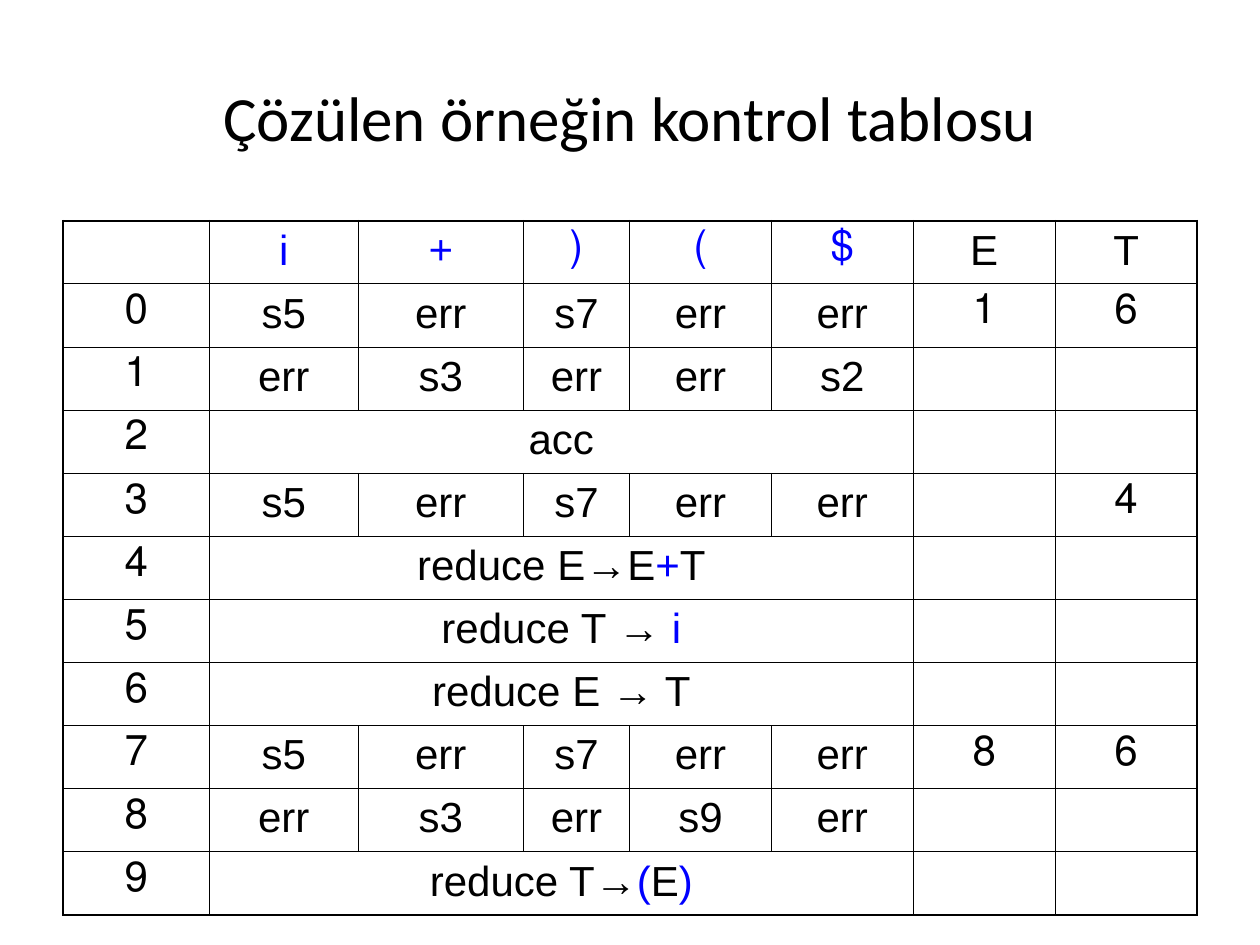
"""Builds a slide with the control table of a solved LR parsing example."""
from itertools import groupby

from lxml.etree import SubElement
from pptx import Presentation
from pptx.dml.color import RGBColor
from pptx.enum.text import MSO_ANCHOR, PP_ALIGN
from pptx.oxml.ns import qn
from pptx.util import Cm, Pt

COLORS = {"text": "000000", "terminal": "0000FF", "line": "000000"}
TERMINALS = "i+()$"
COLUMN_WIDTHS = [2.95, 3, 3.33, 2.14, 2.86, 2.86, 2.86, 2.86]
TABLE_HEIGHT = 14
ACTION_COLUMNS = 5
ROWS = [
    ["", "i", "+", "(", ")", "$", "E", "T"],
    ["0", "s5", "err", "s7", "err", "err", "1", "6"],
    ["1", "err", "s3", "err", "err", "s2", "", ""],
    ["2", "acc", "", ""],
    ["3", "s5", "err", "s7", "err", "err", "", "4"],
    ["4", "reduce E→E+T", "", ""],
    ["5", "reduce T → i", "", ""],
    ["6", "reduce E → T", "", ""],
    ["7", "s5", "err", "s7", "err", "err", "8", "6"],
    ["8", "err", "s3", "err", "s9", "err", "", ""],
    ["9", "reduce T→(E)", "", ""],
]


def add_run(paragraph, text, font_name, size, color):
    run = paragraph.add_run()
    run.text = text
    run.font.name = font_name
    run.font.size = Pt(size)
    run.font.color.rgb = RGBColor.from_string(COLORS[color])


def add_borders(cell, outer_sides):
    properties = cell._tc.get_or_add_tcPr()
    for side in "LRTB":
        width = Pt(1.08 if side in outer_sides else 0.45)
        line = SubElement(properties, qn(f"a:ln{side}"), w=str(width))
        fill = SubElement(line, qn("a:solidFill"))
        SubElement(fill, qn("a:srgbClr"), val=COLORS["line"])


presentation = Presentation()
presentation.slide_width = Cm(25.4)
presentation.slide_height = Cm(19.05)
slide = presentation.slides.add_slide(presentation.slide_layouts[5])

heading = slide.shapes.title
heading.left, heading.top = Cm(1.27), Cm(0.76)
heading.width, heading.height = Cm(22.86), Cm(3.18)
heading.text_frame.vertical_anchor = MSO_ANCHOR.MIDDLE
heading_line = heading.text_frame.paragraphs[0]
heading_line.alignment = PP_ALIGN.CENTER
add_run(heading_line, "Çözülen örneğin kontrol tablosu", "Calibri", 36, "text")

last_row, last_column = len(ROWS) - 1, len(COLUMN_WIDTHS) - 1
control_table = slide.shapes.add_table(
    len(ROWS), len(COLUMN_WIDTHS), Cm(1.27), Cm(4.45),
    Cm(sum(COLUMN_WIDTHS)), Cm(TABLE_HEIGHT)).table
control_table.first_row = False
control_table.horz_banding = False
for column, width in zip(control_table.columns, COLUMN_WIDTHS):
    column.width = Cm(width)

for r, entries in enumerate(ROWS):
    control_table.rows[r].height = Cm(TABLE_HEIGHT / len(ROWS))
    if len(entries) <= last_column:
        control_table.cell(r, 1).merge(control_table.cell(r, ACTION_COLUMNS))
        state, action, *gotos = entries
        entries = [state, action, *[""] * (ACTION_COLUMNS - 1), *gotos]
    for c, entry in enumerate(entries):
        cell = control_table.cell(r, c)
        edges = {"L": c == 0, "R": c == last_column, "T": r == 0, "B": r == last_row}
        add_borders(cell, [side for side, is_outer in edges.items() if is_outer])
        cell.fill.background()
        cell.vertical_anchor = MSO_ANCHOR.TOP
        symbols = cell.text_frame.paragraphs[0]
        symbols.alignment = PP_ALIGN.CENTER
        symbols._p.get_or_add_pPr().set("rtl", "1")
        for is_terminal, part in groupby(entry, key=lambda symbol: symbol in TERMINALS):
            add_run(symbols, "".join(part), "Arial", 24,
                    "terminal" if is_terminal else "text")

presentation.save("out.pptx")
